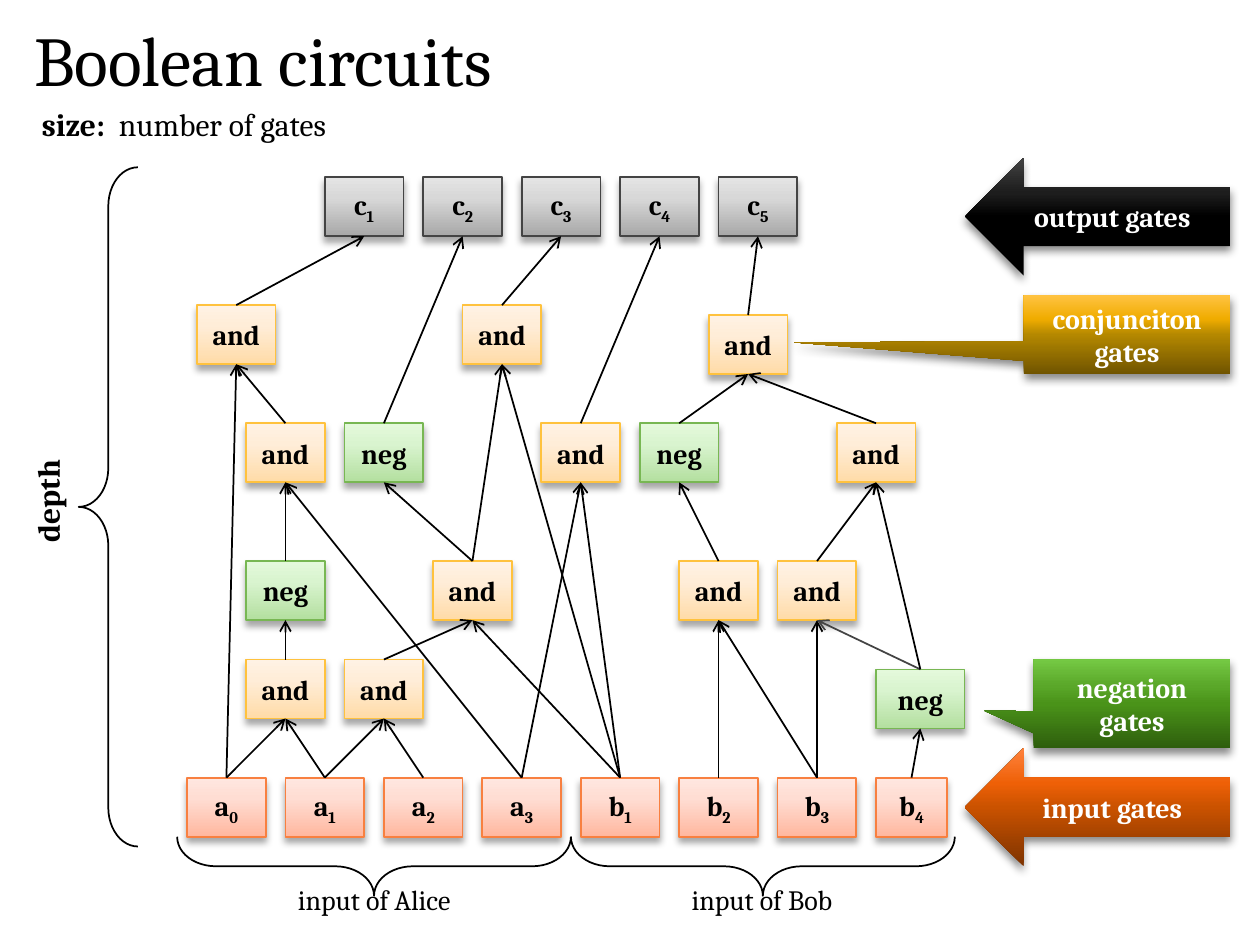
import dataclasses

import lxml.etree
import pptx
import pptx.dml.color
import pptx.enum.shapes
import pptx.enum.text
import pptx.oxml.ns
import pptx.util

SHAPE = pptx.enum.shapes.MSO_SHAPE
ALIGN = pptx.enum.text.PP_ALIGN
ANCHOR = pptx.enum.text.MSO_ANCHOR
AUTO_SIZE = pptx.enum.text.MSO_AUTO_SIZE
qn = pptx.oxml.ns.qn
GRID = 25.4 / 128


@dataclasses.dataclass(frozen=True)
class Fill:
    stops: tuple
    line: str = ""
    blur: float = 4
    alpha: int = 35


@dataclasses.dataclass(frozen=True)
class Theme:
    font: str = "Cambria"
    title: int = 40
    label: int = 18
    gate: int = 16
    ink: str = "000000"
    light: str = "FFFFFF"
    muted: str = "444444"
    input: Fill = Fill(((0, "FFB79F"), (65, "FFDDD3"), (100, "FFE7E0")), "F88040")
    output: Fill = Fill(((0, "A7A7A7"), (65, "D8D8D8"), (100, "E4E4E4")), "444444")
    conj: Fill = Fill(((0, "FFDBA7"), (65, "FFEDD8"), (100, "FFF2E4")), "FFC23E")
    neg: Fill = Fill(((0, "B3DF9F"), (65, "D9F4CF"), (100, "E4F9DB")), "78B753")
    input_key: Fill = Fill(((0, "7D3300"), (50, "CA5200"), (70, "EE6007"), (100, "FF823D")), "", 5, 45)
    output_key: Fill = Fill(((0, "000000"), (50, "000000"), (70, "1D1D1D"), (100, "424242")), "", 5, 45)
    conj_key: Fill = Fill(((0, "705400"), (50, "B48800"), (70, "F0AC00"), (100, "FFC342")), "", 5, 45)
    neg_key: Fill = Fill(((0, "2E5E0D"), (50, "4A9319"), (70, "5AA729"), (100, "75C944")), "", 5, 45)


THEME = Theme()


def rgb(color):
    return pptx.dml.color.RGBColor.from_string(color)


def box(*lengths):
    return [pptx.util.Cm(n * GRID) for n in lengths]


def write(tf, text, sub="", lead="", size=THEME.gate, color=THEME.ink, bold=False,
          align=ALIGN.LEFT, anchor=ANCHOR.TOP, spacing=None):
    tf.vertical_anchor = anchor
    for i, line in enumerate(text.split("\n")):
        p = tf.add_paragraph() if i else tf.paragraphs[0]
        p.alignment = align
        p.line_spacing = spacing
        for part, strong, base in ((lead, True, None), (line, bold, None), (sub, bold, "-25000")):
            if part:
                r = p.add_run()
                r.text = part
                r.font.name, r.font.size, r.font.bold = THEME.font, pptx.util.Pt(size), strong
                r.font.color.rgb = rgb(color)
                if base:
                    r.font._element.set("baseline", base)


class Canvas:
    def __init__(self, s, theme):
        self.s, self.theme = s, theme

    def title(self, text, at):
        sp = self.s.shapes.title
        sp.left, sp.top, sp.width, sp.height = box(*at)
        sp.text_frame.auto_size = AUTO_SIZE.NONE
        write(sp.text_frame, text, size=self.theme.title, anchor=ANCHOR.MIDDLE, spacing=0.9)

    def text(self, text, at, rotation=0, wrap=True, **fmt):
        sp = self.s.shapes.add_textbox(*box(*at))
        sp.rotation = rotation
        sp.text_frame.word_wrap = wrap
        sp.text_frame.auto_size = AUTO_SIZE.SHAPE_TO_FIT_TEXT
        write(sp.text_frame, text, **fmt)

    def shape(self, kind, at, fill, text, sub="", color=THEME.ink, adjust=()):
        sp = self.s.shapes.add_shape(kind, *box(*at))
        for i, value in enumerate(adjust):
            sp.adjustments[i] = value
        self.gradient(sp, fill)
        if fill.line:
            sp.line.color.rgb = rgb(fill.line)
            sp.line.width = pptx.util.Pt(1)
        else:
            sp.line.fill.background()
        self.shadow(sp, fill)
        write(sp.text_frame, text, sub, color=color, bold=True,
              align=ALIGN.CENTER, anchor=ANCHOR.MIDDLE)
        return sp

    def gradient(self, sp, fill):
        sp.fill.gradient()
        sp.fill.gradient_angle = 90
        stops = sp._element.spPr.find(qn("a:gradFill")).find(qn("a:gsLst"))
        for stop in list(stops):
            stops.remove(stop)
        for pos, color in fill.stops:
            gs = lxml.etree.SubElement(stops, qn("a:gs"), pos=str(pos * 1000))
            lxml.etree.SubElement(gs, qn("a:srgbClr"), val=color)

    def shadow(self, sp, fill):
        sp.shadow.inherit = False
        effects = sp._element.spPr.find(qn("a:effectLst"))
        outer = lxml.etree.SubElement(
            effects, qn("a:outerShdw"), blurRad=str(pptx.util.Pt(fill.blur)),
            dist=str(pptx.util.Pt(3)), dir="5400000", rotWithShape="0")
        clr = lxml.etree.SubElement(outer, qn("a:srgbClr"), val=self.theme.ink)
        lxml.etree.SubElement(clr, qn("a:alpha"), val=str(fill.alpha * 1000))

    def brace(self, at, rotation=0):
        sp = self.s.shapes.add_shape(SHAPE.LEFT_BRACE, *box(*at))
        sp.adjustments[0], sp.adjustments[1] = 0.656, 0.5
        sp.rotation = rotation
        sp.shadow.inherit = False
        sp.fill.background()
        sp.line.color.rgb = rgb(self.theme.ink)
        sp.line.width = pptx.util.Pt(1)

    def wire(self, source, target, color):
        c = self.s.shapes.add_connector(pptx.enum.shapes.MSO_CONNECTOR.STRAIGHT, 0, 0, 0, 0)
        c.begin_connect(source, 0)
        c.end_connect(target, 2)
        c.line.color.rgb = rgb(color)
        c.line.width = pptx.util.Pt(1)
        lxml.etree.SubElement(c.line._get_or_add_ln(), qn("a:tailEnd"), type="arrow")
        lxml.etree.SubElement(c._element.spPr, qn("a:effectLst"))


INPUTS = ("a0", "a1", "a2", "a3", "b1", "b2", "b3", "b4")
OUTPUTS = ("c1", "c2", "c3", "c4", "c5")
GATES = {
    "and1": (25, 67), "and2": (35, 67), "neg1": (25, 57), "and3": (44, 57),
    "and4": (69, 57), "and5": (79, 57), "neg2": (89, 68), "and6": (25, 43),
    "neg3": (35, 43), "and7": (55, 43), "neg4": (65, 43), "and8": (85, 43),
    "and9": (20, 31), "and10": (47, 31), "and11": (72, 32),
}
WIDTHS = {"b4": 7.2, "neg2": 9}
WIRES = {
    "and1": "a0 a1", "and2": "a1 a2", "neg1": "and1", "and3": "and2 b1",
    "and4": "b2 b3", "and5": "b3 neg2", "neg2": "b4", "and6": "neg1 a3",
    "neg3": "and3", "and7": "a3 b1", "neg4": "and4", "and8": "and5 neg2",
    "and9": "a0 and6", "and10": "and3 b1", "and11": "neg4 and8",
    "c1": "and9", "c2": "neg3", "c3": "and10", "c4": "and7", "c5": "and11",
}


def main():
    prs = pptx.Presentation()
    prs.slide_width, prs.slide_height = pptx.util.Cm(25.4), pptx.util.Cm(19.05)
    canvas = Canvas(prs.slides.add_slide(prs.slide_layouts[5]), THEME)
    canvas.title("Boolean circuits", (2.2, 0, 119, 13))

    nodes = {}
    for names, left, top, fill in ((INPUTS, 19, 79, THEME.input), (OUTPUTS, 33, 18, THEME.output)):
        for i, name in enumerate(names):
            at = (left + 10 * i, top, WIDTHS.get(name, 8), 6)
            nodes[name] = canvas.shape(SHAPE.RECTANGLE, at, fill, name[0], name[1])
    for name, (left, top) in GATES.items():
        kind = name[:3]
        fill = THEME.neg if kind == "neg" else THEME.conj
        nodes[name] = canvas.shape(SHAPE.RECTANGLE, (left, top, WIDTHS.get(name, 8), 6), fill, kind)
    for target, sources in WIRES.items():
        for source in sources.split():
            color = THEME.muted if (source, target) == ("neg2", "and5") else THEME.ink
            canvas.wire(nodes[source], nodes[target], color)

    callout = SHAPE.RECTANGULAR_CALLOUT
    for kind, at, fill, text, adjust in (
        (SHAPE.LEFT_ARROW, (98, 76, 27, 12), THEME.input_key, "input gates", ()),
        (SHAPE.LEFT_ARROW, (98, 16, 27, 12), THEME.output_key, "output gates", ()),
        (callout, (104, 30, 21, 8), THEME.conj_key, "conjunciton\ngates", (-1.61, 0.1)),
        (callout, (105, 67, 20, 9), THEME.neg_key, "negation gates", (-0.75, 0.08)),
    ):
        canvas.shape(kind, at, fill, text, color=THEME.light, adjust=adjust)

    canvas.brace((8, 17, 6, 69))
    canvas.brace((35, 68, 6, 40), rotation=270)
    canvas.brace((74.5, 68.5, 6, 39), rotation=270)
    canvas.text("depth", (-0.9, 48.1, 11.4, 5.1), rotation=270, size=THEME.label, bold=True)
    canvas.text(" number of gates", (3, 10, 38, 5.1), lead="size: ", size=THEME.label)
    canvas.text("input of Alice", (29, 89, 18.8, 4.7), wrap=False)
    canvas.text("input of Bob", (69, 89, 17.7, 4.7), wrap=False)
    prs.save("out.pptx")


if __name__ == "__main__":
    main()
